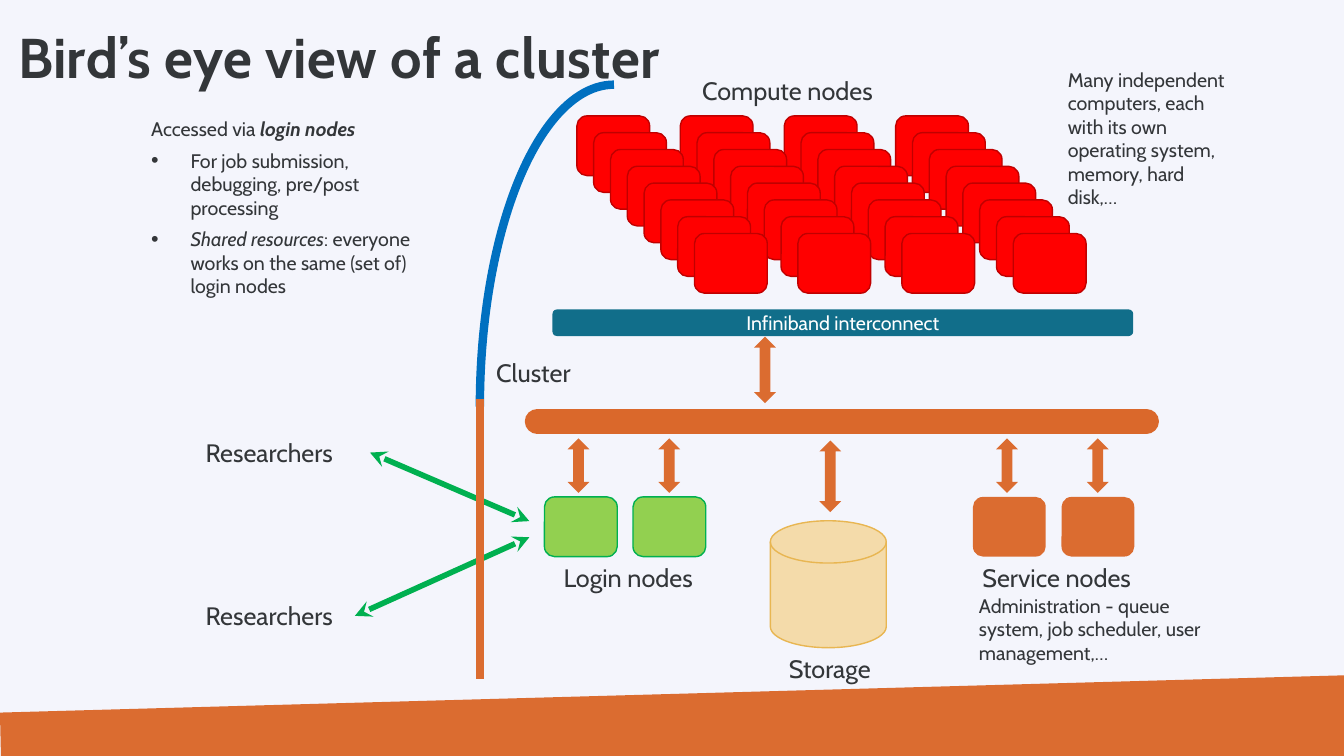
"""Build a one-page overview of the parts of a compute cluster."""
from lxml.etree import SubElement
from pptx import Presentation
from pptx.dml.color import RGBColor
from pptx.enum.shapes import MSO_CONNECTOR, MSO_SHAPE
from pptx.enum.text import MSO_ANCHOR, MSO_AUTO_SIZE, PP_ALIGN
from pptx.oxml.ns import qn
from pptx.util import Inches, Pt

INK = RGBColor(0x33, 0x36, 0x39)
WHITE = RGBColor(0xFF, 0xFF, 0xFF)
PAPER = RGBColor(0xF4, 0xF5, 0xFC)
ORANGE = RGBColor(0xDB, 0x6C, 0x30)
BUS_ORANGE = RGBColor(0xDA, 0x68, 0x2B)
RED = RGBColor(0xFF, 0x00, 0x00)
DARK_RED = RGBColor(0xC0, 0x00, 0x00)
LIME = RGBColor(0x92, 0xD0, 0x50)
GREEN = RGBColor(0x00, 0xB0, 0x50)
TEAL = RGBColor(0x11, 0x6E, 0x8A)
SAND = RGBColor(0xF4, 0xDB, 0xAA)
GOLD = RGBColor(0xE8, 0xB6, 0x52)
BLUE = RGBColor(0x00, 0x70, 0xC0)

COLUMNS, ROWS = 80, 45
NODE_WIDTH, NODE_HEIGHT = 4.33, 3.55
ARROW_WIDTH = 1.3
LABEL_WIDTH, LABEL_HEIGHT = 12.72, 2.4

deck = Presentation()
deck.slide_width, deck.slide_height = Inches(13.33), Inches(7.5)
unit = deck.slide_height / ROWS
page = deck.slides.add_slide(deck.slide_layouts[1])
page.background.fill.solid()
page.background.fill.fore_color.rgb = PAPER


def draw(parent, kind, grid_box, fill=None, line=None, weight=1):
    shape = parent.shapes.add_shape(kind, *[round(length * unit) for length in grid_box])
    shape.shadow.inherit = False
    for part, color in ((shape.fill, fill), (shape.line.fill, line)):
        if color is None:
            part.background()
        else:
            part.solid()
            part.fore_color.rgb = color
    if line is not None:
        shape.line.width = Pt(weight)
    return shape


def write(box, paragraphs, size, color=INK, align=PP_ALIGN.LEFT, inset=0, anchor=MSO_ANCHOR.TOP):
    frame = box.text_frame
    frame_format = {
        "word_wrap": True, "auto_size": MSO_AUTO_SIZE.NONE, "vertical_anchor": anchor,
        "margin_left": Inches(inset), "margin_right": Inches(inset),
        "margin_top": Inches(inset / 2), "margin_bottom": Inches(inset / 2),
    }
    for name, value in frame_format.items():
        setattr(frame, name, value)
    for index, spans in enumerate(paragraphs):
        para = frame.add_paragraph() if index else frame.paragraphs[0]
        para.alignment = align
        para.space_before = Pt(5.8 if index else 0)
        for text, emphasis in spans:
            span = para.add_run()
            span.text = text
            font_format = {"name": "Cabin", "size": Pt(size), "bold": False, "italic": False}
            for name, value in {**font_format, **emphasis}.items():
                setattr(span.font, name, value)
            span.font.color.rgb = color


footer = page.shapes.build_freeform(0, Inches(7.07))
footer.add_line_segments([
    (deck.slide_width, Inches(6.7)),
    (deck.slide_width, deck.slide_height),
    (Inches(0.01), deck.slide_height),
])
footer_band = footer.convert_to_shape()
footer_band.shadow.inherit = False
footer_band.fill.solid()
footer_band.fill.fore_color.rgb = ORANGE
footer_band.line.fill.background()

for stack_left in (53.3, 46.67, 40.48, 34.33):
    stack = page.shapes.add_group_shape()
    for step in range(8):
        node_box = (stack_left + step, 6.9 + step, NODE_WIDTH, NODE_HEIGHT)
        draw(stack, MSO_SHAPE.ROUNDED_RECTANGLE, node_box, RED, DARK_RED)

interconnect = draw(page, MSO_SHAPE.ROUNDED_RECTANGLE, (32.88, 18.42, 34.56, 1.58), TEAL)
write(interconnect, [[("Infiniband interconnect", {})]], 14, WHITE, PP_ALIGN.CENTER,
      anchor=MSO_ANCHOR.MIDDLE)
draw(page, MSO_SHAPE.UP_DOWN_ARROW, (44.88, 20.04, ARROW_WIDTH, 3.96), ORANGE)

labels = [
    (page, "Compute nodes", 40.5, 4.2),
    (page, "Cluster", 25.38, 21),
    (page, "Researchers", 9.66, 25.74),
    (page, "Researchers", 9.66, 35.46),
]

storage = page.shapes.add_group_shape()
draw(storage, MSO_SHAPE.FLOWCHART_MAGNETIC_DISK, (45.84, 31, 6.9, 7.56), SAND, GOLD)
draw(storage, MSO_SHAPE.UP_DOWN_ARROW, (48.76, 26.22, ARROW_WIDTH, 4.26), ORANGE)
labels.append((storage, "Storage", 43.02, 38.58))

for name, left, fill, line in (
    ("Service nodes", 57.9, ORANGE, None),
    ("Login nodes", 32.4, LIME, GREEN),
):
    node_pair = page.shapes.add_group_shape()
    for position in range(2):
        node_box = (left + 5.27 * position, 29.58, NODE_WIDTH, NODE_HEIGHT)
        arrow_box = (left + 1.38 + 5.4 * position, 26.1, ARROW_WIDTH, 3.24)
        draw(node_pair, MSO_SHAPE.ROUNDED_RECTANGLE, node_box, fill, line)
        draw(node_pair, MSO_SHAPE.UP_DOWN_ARROW, arrow_box, ORANGE)
    labels.append((node_pair, name, left - 1.38, 33.18))

for parent, text, left, top in labels:
    label_box = [round(length * unit) for length in (left, top, LABEL_WIDTH, LABEL_HEIGHT)]
    label = parent.shapes.add_textbox(*label_box)
    write(label, [[(text, {})]], 18, align=PP_ALIGN.CENTER, inset=0.1)

boundary_arc = draw(page, MSO_SHAPE.ARC, (28.56, 5.04, 15.96, 38.34), line=BLUE, weight=6)
boundary_arc.adjustments[0], boundary_arc.adjustments[1] = 108, 162

for ends, color, weight, cap, arrowed in (
    ((31.98, 25.08, 68.22, 25.08), BUS_ORANGE, 18, "rnd", False),
    ((22.02, 26.94, 31.5, 31.02), GREEN, 4, "flat", True),
    ((21.12, 36.66, 31.5, 31.98), GREEN, 4, "flat", True),
    ((28.56, 23.76, 28.56, 40.44), ORANGE, 6, "flat", False),
):
    link = page.shapes.add_connector(
        MSO_CONNECTOR.STRAIGHT, *[round(length * unit) for length in ends])
    link.line.color.rgb = color
    link.line.width = Pt(weight)
    outline = link.line._get_or_add_ln()
    outline.set("cap", cap)
    if arrowed:
        for tip in ("a:headEnd", "a:tailEnd"):
            SubElement(outline, qn(tip), type="stealth")
    SubElement(link._element.spPr, qn("a:effectLst"))

for text, note_box in (
    ("Many independent computers, each with its own operating system, memory, hard disk,…",
     (63.54, 4.02, 9.72, 7.74)),
    ("Administration - queue system, job scheduler, user management,…",
     (58.26, 35.34, 14.22, 4.2)),
):
    note = page.shapes.add_textbox(*[round(length * unit) for length in note_box])
    write(note, [[(text, {})]], 14)

title, body = page.placeholders
for holder, grid_box in (
    (title, (1.08, 1.32, 50.16, 4.14)),
    (body, (9, 6.96, 16.8, 13.08)),
):
    holder.left, holder.top, holder.width, holder.height = [
        round(length * unit) for length in grid_box]

write(title, [[("Bird’s eye view of a cluster", {"bold": True})]], 40)
title.text_frame.paragraphs[0].runs[0].font._element.set("spc", "30")

write(body, [
    [("Accessed via ", {}), ("login nodes", {"bold": True, "italic": True})],
    [("For job submission, debugging, pre/post processing", {})],
    [("Shared resources", {"italic": True}),
     (": everyone works on the same (set of) login nodes", {})],
], 14)
for index, para in enumerate(body.text_frame.paragraphs):
    properties = para._p.get_or_add_pPr()
    indent = Inches(0.39) if index else 0
    properties.set("marL", str(indent))
    properties.set("indent", str(-indent))
    if index:
        SubElement(properties, qn("a:buSzPct"), val="110000")
        SubElement(properties, qn("a:buChar"), char="•")
    else:
        SubElement(properties, qn("a:buNone"))

deck.save("out.pptx")
